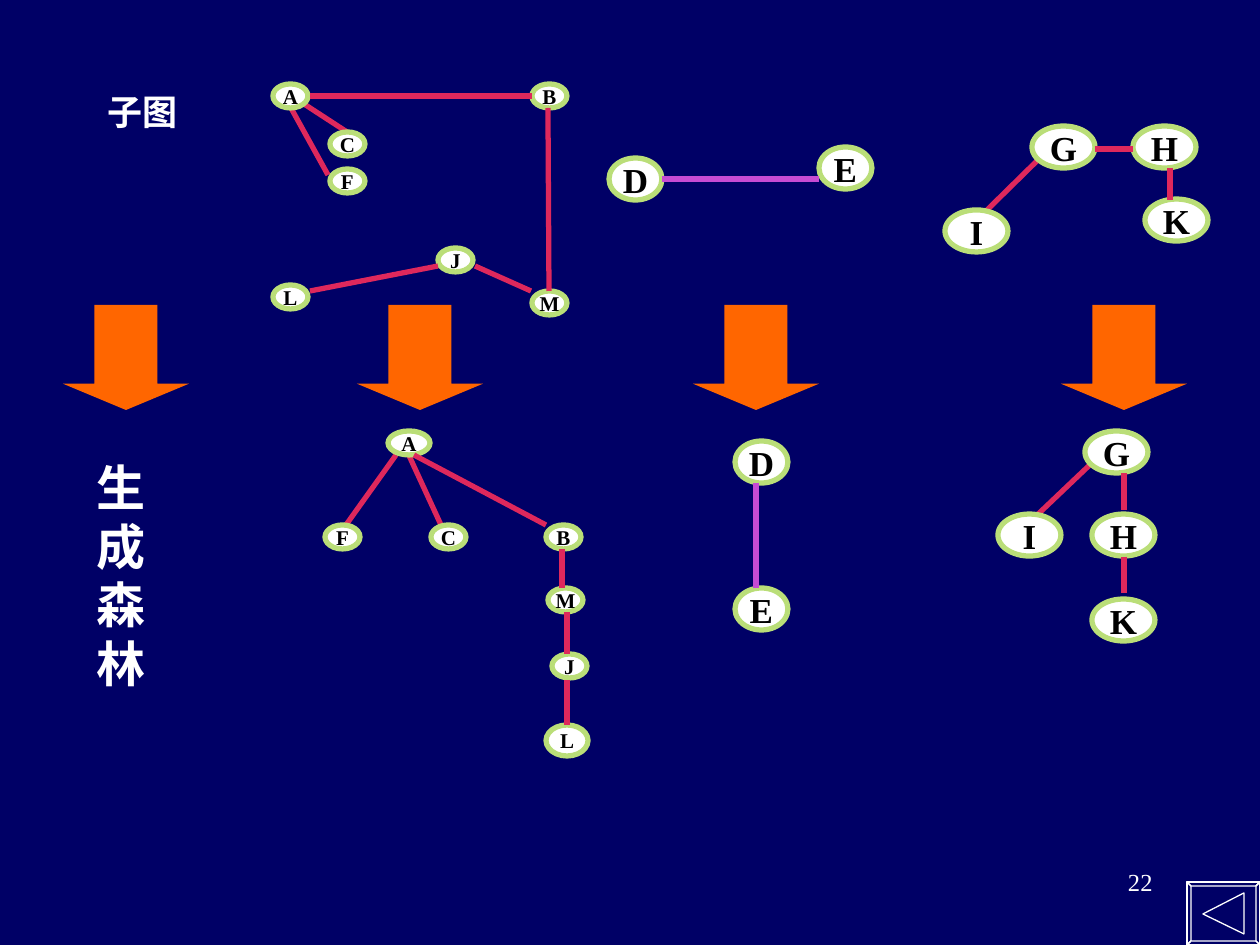
from typing import NamedTuple

from lxml import etree
from pptx import Presentation
from pptx.dml.color import RGBColor
from pptx.enum.shapes import MSO_CONNECTOR, MSO_SHAPE
from pptx.enum.text import MSO_ANCHOR, MSO_AUTO_SIZE, PP_ALIGN
from pptx.oxml.ns import qn
from pptx.util import Pt

EMU_PER_PX = 914400 / 126
FONT = "Times New Roman"
NAVY = RGBColor(0x00, 0x00, 0x66)
WHITE = RGBColor(0xFF, 0xFF, 0xFF)
BLACK = RGBColor(0x00, 0x00, 0x00)
GREEN = RGBColor(0xBA, 0xDE, 0x78)
CRIMSON = RGBColor(0xDE, 0x28, 0x5C)
PURPLE = RGBColor(0xC6, 0x4B, 0xD3)
ORANGE = RGBColor(0xFF, 0x66, 0x00)
ELLIPSE, DOWN_ARROW = MSO_SHAPE.OVAL, MSO_SHAPE.DOWN_ARROW
STRAIGHT = MSO_CONNECTOR.STRAIGHT
LEFT, CENTER, RIGHT = PP_ALIGN.LEFT, PP_ALIGN.CENTER, PP_ALIGN.RIGHT
MIDDLE = MSO_ANCHOR.MIDDLE
NO_RESIZE, GROW = MSO_AUTO_SIZE.NONE, MSO_AUTO_SIZE.SHAPE_TO_FIT_TEXT


class Node(NamedTuple):
    letter: str
    left: int
    top: int
    width: int
    height: int
    size: int


class Edge(NamedTuple):
    x1: int
    y1: int
    x2: int
    y2: int


class Graph(NamedTuple):
    """Edges under the nodes, the nodes, and edges over the nodes."""
    under: list[Edge]
    nodes: list[Node]
    over: list[Edge]
    edge_color: RGBColor = CRIMSON


class Label(NamedTuple):
    text: str
    left: int
    top: int
    width: int
    height: int
    size: int
    align: PP_ALIGN
    bold: bool = True
    resize: MSO_AUTO_SIZE = GROW


def small(letter: str, left: int, top: int,
          width: int = 35, height: int = 24) -> Node:
    return Node(letter, left, top, width, height, 12)


def medium(letter: str, left: int, top: int) -> Node:
    return Node(letter, left, top, 53, 42, 20)


def large(letter: str, left: int, top: int) -> Node:
    return Node(letter, left, top, 63, 42, 20)


GRAPHS = [
    Graph([], [medium("D", 609, 158), medium("E", 819, 147)],
          [Edge(662, 179, 819, 179)], PURPLE),
    Graph([Edge(1042, 156, 983, 214)],
          [large("G", 1032, 126), large("H", 1133, 126),
           large("I", 945, 210), large("K", 1145, 199)],
          [Edge(1095, 149, 1133, 149), Edge(1170, 168, 1170, 200)]),
    Graph([Edge(301, 102, 347, 132), Edge(291, 108, 328, 175)],
          [small("A", 273, 84), small("B", 532, 84), small("C", 330, 132),
           small("F", 330, 169), small("J", 438, 248), small("L", 273, 285),
           small("M", 532, 291)],
          [Edge(310, 96, 532, 96), Edge(548, 108, 549, 291),
           Edge(475, 266, 531, 291), Edge(310, 291, 438, 266)]),
    Graph([Edge(406, 449, 441, 525), Edge(396, 455, 346, 525)],
          [small("A", 388, 431, 42), small("B", 546, 525),
           small("C", 431, 525), small("F", 325, 525), small("J", 552, 654),
           small("L", 546, 725, 42, 31), small("M", 548, 588)],
          [Edge(414, 455, 546, 525), Edge(562, 549, 562, 588),
           Edge(567, 612, 567, 654), Edge(567, 680, 567, 725)]),
    Graph([], [medium("D", 735, 441), medium("E", 735, 588)],
          [Edge(756, 483, 756, 588)], PURPLE),
    Graph([Edge(1095, 460, 1034, 518)],
          [large("G", 1085, 431), large("H", 1092, 514),
           large("I", 998, 514), large("K", 1092, 599)],
          [Edge(1124, 473, 1124, 510), Edge(1124, 557, 1124, 593)]),
]

LABELS = [
    Label("22", 903, 861, 262, 63, 14, RIGHT, False, NO_RESIZE),
    Label("子图", 32, 84, 221, 97, 20, CENTER),
    Label("生成森林", 84, 451, 84, 248, 28, LEFT),
]

ARROW_LEFTS = [63, 357, 693, 1061]
BUTTON_OUTER = [(1260, 882), (1187, 882), (1187, 945), (1260, 945)]
BUTTON_INNER = [(1256, 886), (1191, 886), (1191, 941), (1256, 941)]
BUTTON_TRIANGLE = [(1244, 893), (1203, 914), (1244, 934)]


def px(*lengths: int) -> list[int]:
    """Turn px into EMU."""
    return [round(length * EMU_PER_PX) for length in lengths]


def write(frame, text: str, size: int, color: RGBColor, align: PP_ALIGN,
          bold: bool) -> None:
    paragraph = frame.paragraphs[0]
    paragraph.text = text
    paragraph.alignment = align
    font = paragraph.font
    font.name, font.size, font.bold = FONT, Pt(size), bold
    font.color.rgb = color


def draw_edge(shapes, edge: Edge, color: RGBColor) -> None:
    connector = shapes.add_connector(STRAIGHT, *px(*edge))
    connector.line.color.rgb = color
    connector.line.width = Pt(3)
    etree.SubElement(connector._element.spPr, qn("a:effectLst"))


def draw_node(shapes, node: Node) -> None:
    ellipse = shapes.add_shape(
        ELLIPSE, *px(node.left, node.top, node.width, node.height))
    ellipse.shadow.inherit = False
    ellipse.fill.solid()
    ellipse.fill.fore_color.rgb = WHITE
    ellipse.line.color.rgb = GREEN
    ellipse.line.width = Pt(3)
    frame = ellipse.text_frame
    frame.word_wrap = False
    frame.vertical_anchor = MIDDLE
    frame.margin_left = frame.margin_right = 0
    frame.margin_top = frame.margin_bottom = 0
    write(frame, node.letter, node.size, BLACK, CENTER, True)


def draw_graph(slide, graph: Graph) -> None:
    shapes = slide.shapes.add_group_shape().shapes
    for edge in graph.under:
        draw_edge(shapes, edge, graph.edge_color)
    for node in graph.nodes:
        draw_node(shapes, node)
    for edge in graph.over:
        draw_edge(shapes, edge, graph.edge_color)


def draw_label(slide, label: Label) -> None:
    box = slide.shapes.add_textbox(
        *px(label.left, label.top, label.width, label.height))
    frame = box.text_frame
    frame.word_wrap = True
    frame.auto_size = label.resize
    write(frame, label.text, label.size, WHITE, label.align, label.bold)


def draw_arrow(slide, left: int) -> None:
    arrow = slide.shapes.add_shape(DOWN_ARROW, *px(left, 305, 126, 105))
    arrow.adjustments[0], arrow.adjustments[1] = 0.5, 0.25
    arrow.shadow.inherit = False
    arrow.fill.solid()
    arrow.fill.fore_color.rgb = ORANGE
    arrow.line.fill.background()


def draw_back_button(slide) -> None:
    """Draw the bevelled frame, one contour per side, and its triangle."""
    sides = [[BUTTON_OUTER[i - 1], BUTTON_OUTER[i],
              BUTTON_INNER[i], BUTTON_INNER[i - 1]] for i in range(4)]
    builder = slide.shapes.build_freeform(*BUTTON_OUTER[0], scale=EMU_PER_PX)
    builder.add_line_segments(BUTTON_OUTER[1:], close=True)
    for contour in [*sides, BUTTON_TRIANGLE]:
        builder.move_to(*contour[0])
        builder.add_line_segments(contour[1:], close=True)
    button = builder.convert_to_shape()
    button.shadow.inherit = False
    button.fill.background()
    button.line.color.rgb = WHITE
    button.line.width = Pt(0.75)


def main() -> None:
    deck = Presentation()
    deck.slide_width, deck.slide_height = px(1260, 945)
    slide = deck.slides.add_slide(deck.slide_layouts[6])
    slide.background.fill.solid()
    slide.background.fill.fore_color.rgb = NAVY
    draw_back_button(slide)
    for graph in GRAPHS:
        draw_graph(slide, graph)
    for left in ARROW_LEFTS:
        draw_arrow(slide, left)
    for label in LABELS:
        draw_label(slide, label)
    deck.save("out.pptx")


if __name__ == "__main__":
    main()
